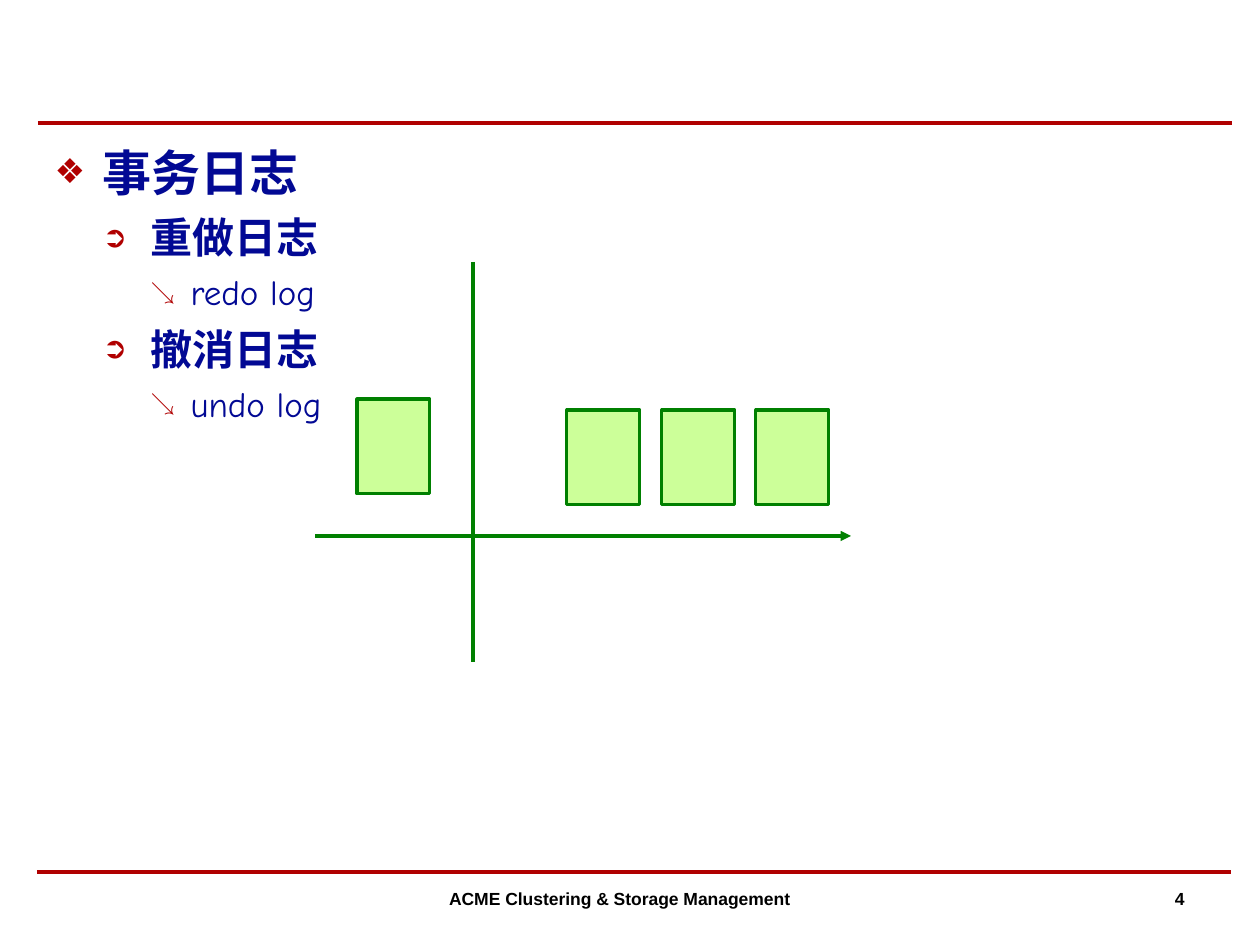
import pptx
import pptx.dml.color
import pptx.enum.shapes
import pptx.enum.text
import pptx.oxml
import pptx.oxml.ns
import pptx.util
from lxml import etree

RED = pptx.dml.color.RGBColor(0xB0, 0x00, 0x00)
NAVY = pptx.dml.color.RGBColor(0x02, 0x09, 0x94)
GREEN = pptx.dml.color.RGBColor(0x00, 0x80, 0x00)
LIGHT_GREEN = pptx.dml.color.RGBColor(0xCC, 0xFF, 0x99)
BLACK = pptx.dml.color.RGBColor(0x00, 0x00, 0x00)

OUTLINE = [
    (0, "事务日志"),
    (1, "重做日志"),
    (2, "redo log"),
    (1, "撤消日志"),
    (2, "undo log"),
]
# One entry per level; indents in px, sizes and spacing in points
LEVELS = [
    dict(bullet="❖", left=48, hanging=48, before=7, size=28, font="Comic Neue", bold=True),
    dict(bullet="➲", left=96, hanging=48, before=6, size=24, font="Roboto", bold=True),
    dict(bullet="↘", left=136, hanging=40, before=5, size=20, font="Comic Neue", bold=False),
]
BODY_BOX = (42, 136, 1187, 725)
FOOTERS = [
    ("ACME Clustering & Storage Management", (420, 882, 399, 63), pptx.enum.text.PP_ALIGN.CENTER),
    ("4", (903, 882, 294, 58), pptx.enum.text.PP_ALIGN.RIGHT),
]
RULES = [(37, 872, 1231, 872), (38, 123, 1232, 123)]
TIME_AXIS = (315, 536, 851, 536)
CHECKPOINT = (473, 262, 473, 662)
BLOCK_SIZE = (73, 95)
BLOCKS = [(756, 410), (662, 410), (567, 410), (357, 399)]

EMU_PER_PX = 914400 / 126


def px(*lengths):
    return [pptx.util.Emu(round(length * EMU_PER_PX)) for length in lengths]


def add_text(paragraph, text, *, size, font, color, bold=False, align=None):
    run = paragraph.add_run()
    run.text = text
    run.font.size = pptx.util.Pt(size)
    run.font.name = font
    run.font.bold = bold
    run.font.color.rgb = color
    east_asian = etree.SubElement(run.font._element, pptx.oxml.ns.qn("a:ea"))
    east_asian.set("typeface", font)
    if align is not None:
        paragraph.alignment = align


def set_bullet(paragraph, character, left, hanging):
    properties = paragraph._p.get_or_add_pPr()
    left, hanging = px(left, hanging)
    properties.set("marL", str(left))
    properties.set("indent", str(-hanging))
    namespace = pptx.oxml.ns.nsdecls("a")
    for xml in (
        f'<a:buClr {namespace}><a:srgbClr val="{RED}"/></a:buClr>',
        f'<a:buSzPct {namespace} val="70000"/>',
        f'<a:buChar {namespace} char="{character}"/>',
    ):
        properties.append(pptx.oxml.parse_xml(xml))


def add_line(slide, ends, color, width, arrow=False):
    line = slide.shapes.add_connector(pptx.enum.shapes.MSO_CONNECTOR.STRAIGHT, *px(*ends))
    line.line.color.rgb = color
    line.line.width = pptx.util.Pt(width)
    if arrow:
        head = etree.SubElement(line.line._get_or_add_ln(), pptx.oxml.ns.qn("a:tailEnd"))
        head.set("type", "triangle")
    etree.SubElement(line._element.spPr, pptx.oxml.ns.qn("a:effectLst"))


def add_block(slide, left, top):
    block = slide.shapes.add_shape(
        pptx.enum.shapes.MSO_SHAPE.RECTANGLE, *px(left, top, *BLOCK_SIZE))
    block.shadow.inherit = False
    block.fill.solid()
    block.fill.fore_color.rgb = LIGHT_GREEN
    block.line.color.rgb = GREEN
    block.line.width = pptx.util.Pt(1.75)


def fill_outline(body):
    body.left, body.top, body.width, body.height = px(*BODY_BOX)
    frame = body.text_frame
    frame.auto_size = pptx.enum.text.MSO_AUTO_SIZE.NONE
    for index, (level, text) in enumerate(OUTLINE):
        paragraph = frame.add_paragraph() if index else frame.paragraphs[0]
        style = LEVELS[level]
        paragraph.level = level
        paragraph.space_before = pptx.util.Pt(style["before"])
        set_bullet(paragraph, style["bullet"], style["left"], style["hanging"])
        add_text(paragraph, text, size=style["size"], font=style["font"],
                 color=NAVY, bold=style["bold"])


def main():
    presentation = pptx.Presentation()
    presentation.slide_width, presentation.slide_height = px(1260, 945)
    slide = presentation.slides.add_slide(presentation.slide_layouts[1])
    title = slide.shapes.title.element
    title.getparent().remove(title)

    for ends in RULES:
        add_line(slide, ends, RED, 2)
    fill_outline(slide.placeholders[1])
    for left, top in BLOCKS:
        add_block(slide, left, top)
    add_line(slide, TIME_AXIS, GREEN, 1.75, arrow=True)
    add_line(slide, CHECKPOINT, GREEN, 1.75)

    for text, box, align in FOOTERS:
        frame = slide.shapes.add_textbox(*px(*box)).text_frame
        frame.word_wrap = True
        add_text(frame.paragraphs[0], text, size=10, font="Arial",
                 color=BLACK, bold=True, align=align)

    presentation.save("out.pptx")


if __name__ == "__main__":
    main()
